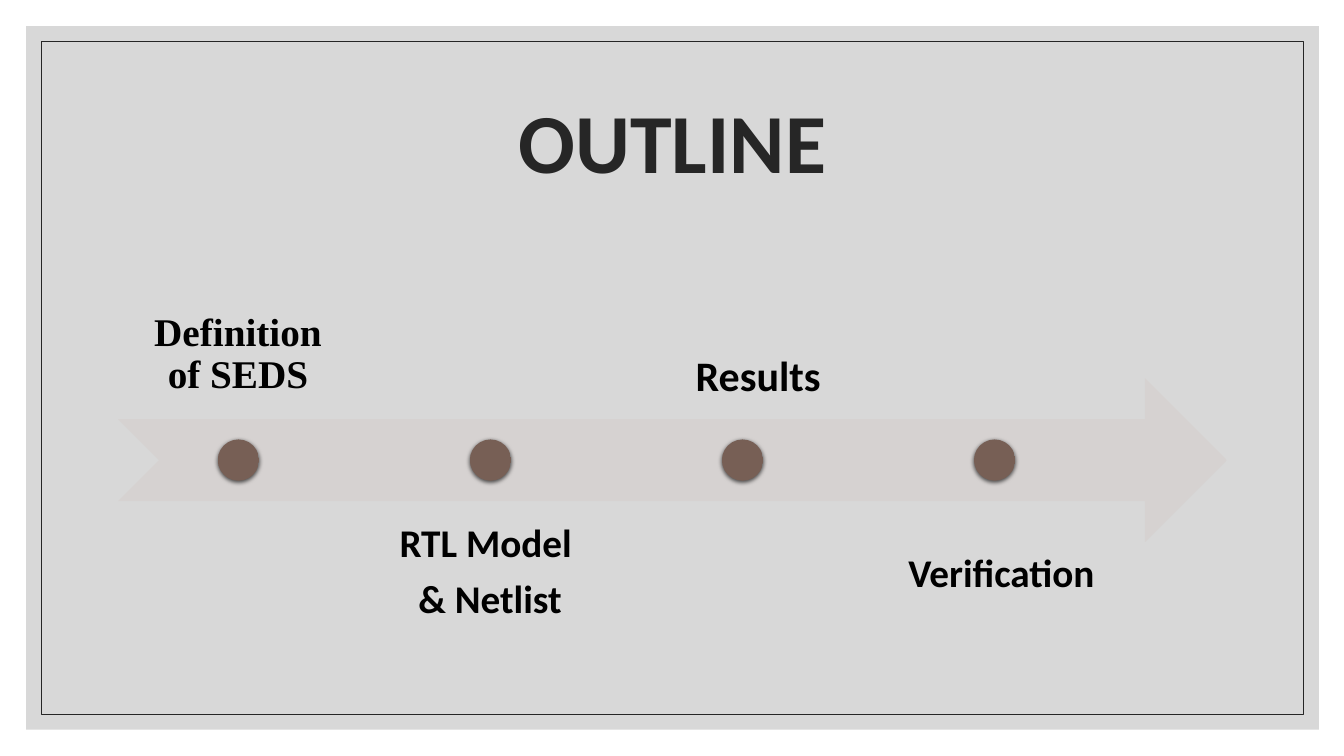
from dataclasses import dataclass

from lxml.etree import SubElement
from pptx import Presentation
from pptx.dml.color import RGBColor
from pptx.enum.shapes import MSO_SHAPE
from pptx.enum.text import MSO_ANCHOR, PP_ALIGN
from pptx.oxml.ns import qn
from pptx.util import Pt


@dataclass(frozen=True)
class Theme:
    panel: str = "BFBFBF"
    ink: str = "262626"
    label: str = "000000"
    arrow: tuple = ("D6D2D1", "D4D0CF")
    dot: tuple = ("775F55", "775E53")
    sans: str = "Calibri"
    serif: str = "Times New Roman"
    head: int = 60
    step: int = 28
    large: int = 30


THEME = Theme()


def px(count):
    return count * 9144


def place(shape, box):
    shape.left, shape.top, shape.width, shape.height = map(px, box)


def write(shape, *lines, size=THEME.step, font=THEME.sans, color=THEME.label,
          align=PP_ALIGN.CENTER, anchor=MSO_ANCHOR.TOP, inset=10,
          pitch=0.9, after=0, wrap=True):
    frame = shape.text_frame
    frame.word_wrap = wrap
    frame.vertical_anchor = anchor
    frame.margin_left = frame.margin_right = px(inset)
    frame.margin_top = frame.margin_bottom = px(inset if inset > 10 else 5)
    for row, line in enumerate(lines):
        para = frame.paragraphs[0] if row == 0 else frame.add_paragraph()
        para.alignment = align
        para.line_spacing = pitch
        para.space_after = Pt(after)
        run = para.add_run()
        run.text = line
        run.font.name = font
        run.font.size = Pt(size)
        run.font.bold = True
        run.font.color.rgb = RGBColor.from_string(color)


def label(slide, box, *lines, **style):
    write(slide.shapes.add_textbox(*map(px, box)), *lines, **style)


def draw(slide, kind, box, blend=None):
    shape = slide.shapes.add_shape(kind, *map(px, box))
    shape.shadow.inherit = False
    shape.line.fill.background()
    if blend:
        shape.fill.gradient()
        shape.fill.gradient_angle = 270
        for stop, color in zip(shape.fill.gradient_stops, blend):
            stop.color.rgb = RGBColor.from_string(color)
    else:
        shape.fill.background()
    return shape


def fade(color, share):
    SubElement(color, qn("a:alpha"), val=str(share * 1000))


def shade(shape):
    effects = shape.element.spPr.find(qn("a:effectLst"))
    shadow = SubElement(effects, qn("a:outerShdw"), blurRad=str(Pt(3)),
                        dist=str(Pt(1)), dir="5400000", rotWithShape="0")
    fade(SubElement(shadow, qn("a:srgbClr"), val=THEME.label), 63)


def frame(slide, box):
    left, top, width, height = box
    panel = draw(slide, MSO_SHAPE.RECTANGLE, box)
    panel.fill.solid()
    panel.fill.fore_color.rgb = RGBColor.from_string(THEME.panel)
    fade(panel.element.spPr.find(".//" + qn("a:srgbClr")), 60)
    border = draw(slide, MSO_SHAPE.RECTANGLE,
                  (left + 15, top + 15, width - 30, height - 30))
    border.line.color.rgb = RGBColor.from_string(THEME.ink)
    border.line.width = Pt(0.5)


def heading(slide, box):
    title = slide.shapes.title
    slide.shapes.element.append(title.element)
    place(title, box)
    write(title, "OUTLINE", size=THEME.head, color=THEME.ink,
          anchor=MSO_ANCHOR.MIDDLE)


def timeline(slide, box):
    left, top, width, height = box
    draw(slide, MSO_SHAPE.NOTCHED_RIGHT_ARROW, box, THEME.arrow)
    pitch, dot = 250, 41
    for step in range(4):
        spot = (left + 99 + step * pitch, top + (height - dot) // 2, dot, dot)
        shade(draw(slide, MSO_SHAPE.OVAL, spot, THEME.dot))
    wide, tall = 238, 163
    label(slide, (left, top - 122, wide, tall), "Definition of SEDS",
          font=THEME.serif, anchor=MSO_ANCHOR.BOTTOM, inset=22, after=9.8)
    label(slide, (left + pitch, top + 122, wide, tall), "RTL Model ",
          "& Netlist", inset=22, after=9.8)
    label(slide, (left + 2 * pitch + 50, top - 118, wide, tall), "Results",
          size=THEME.large, align=PP_ALIGN.LEFT, anchor=MSO_ANCHOR.BOTTOM,
          inset=23, after=10.5)
    label(slide, (left + 774, top + 164, 281, 57), "Verification",
          align=PP_ALIGN.LEFT, pitch=1.0)


def main():
    deck = Presentation()
    deck.slide_width, deck.slide_height = px(1333), px(750)
    slide = deck.slides.add_slide(deck.slide_layouts[5])
    frame(slide, (26, 26, 1282, 698))
    heading(slide, (117, 70, 1100, 150))
    timeline(slide, (117, 375, 1100, 163))
    deck.save("out.pptx")


if __name__ == "__main__":
    main()
